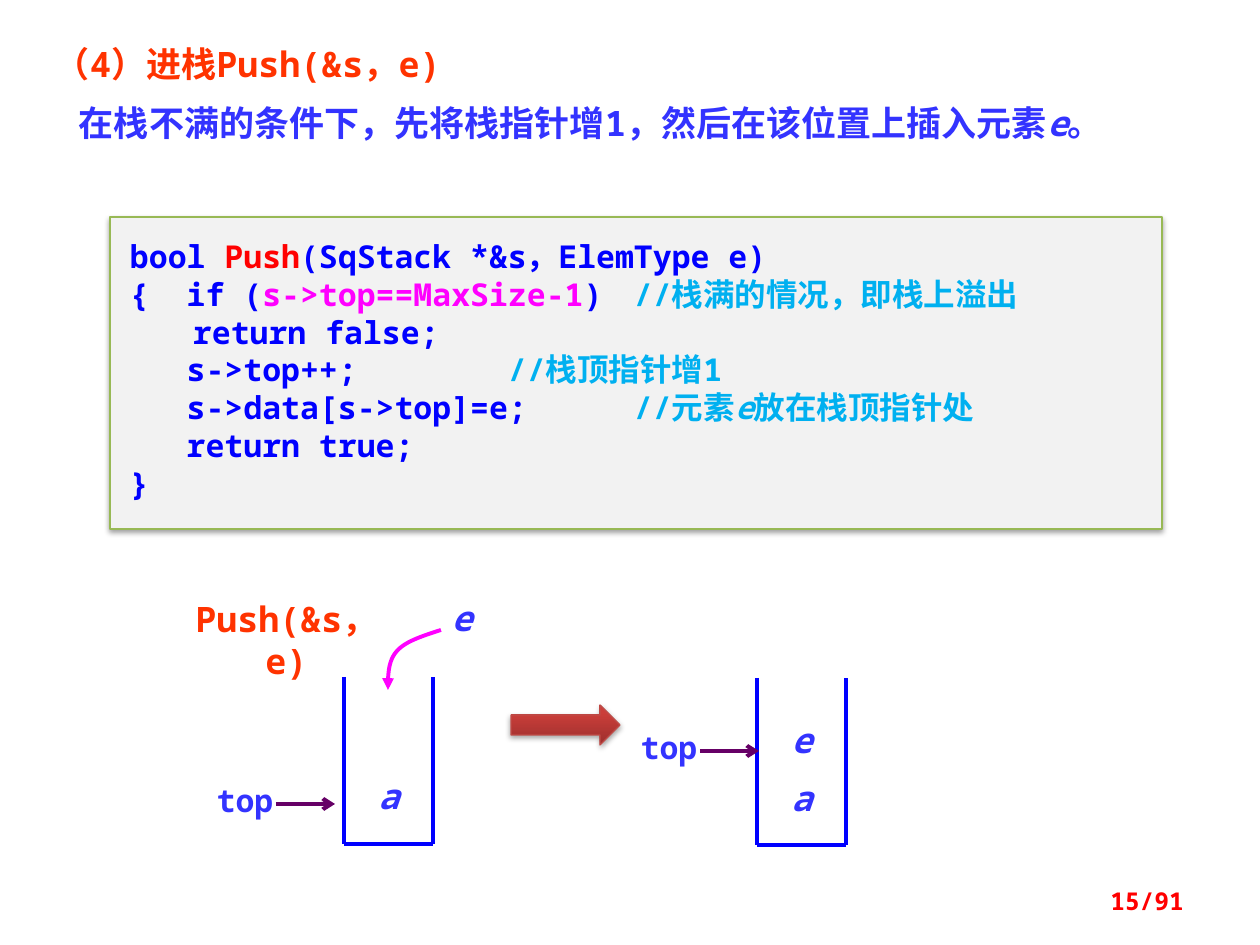
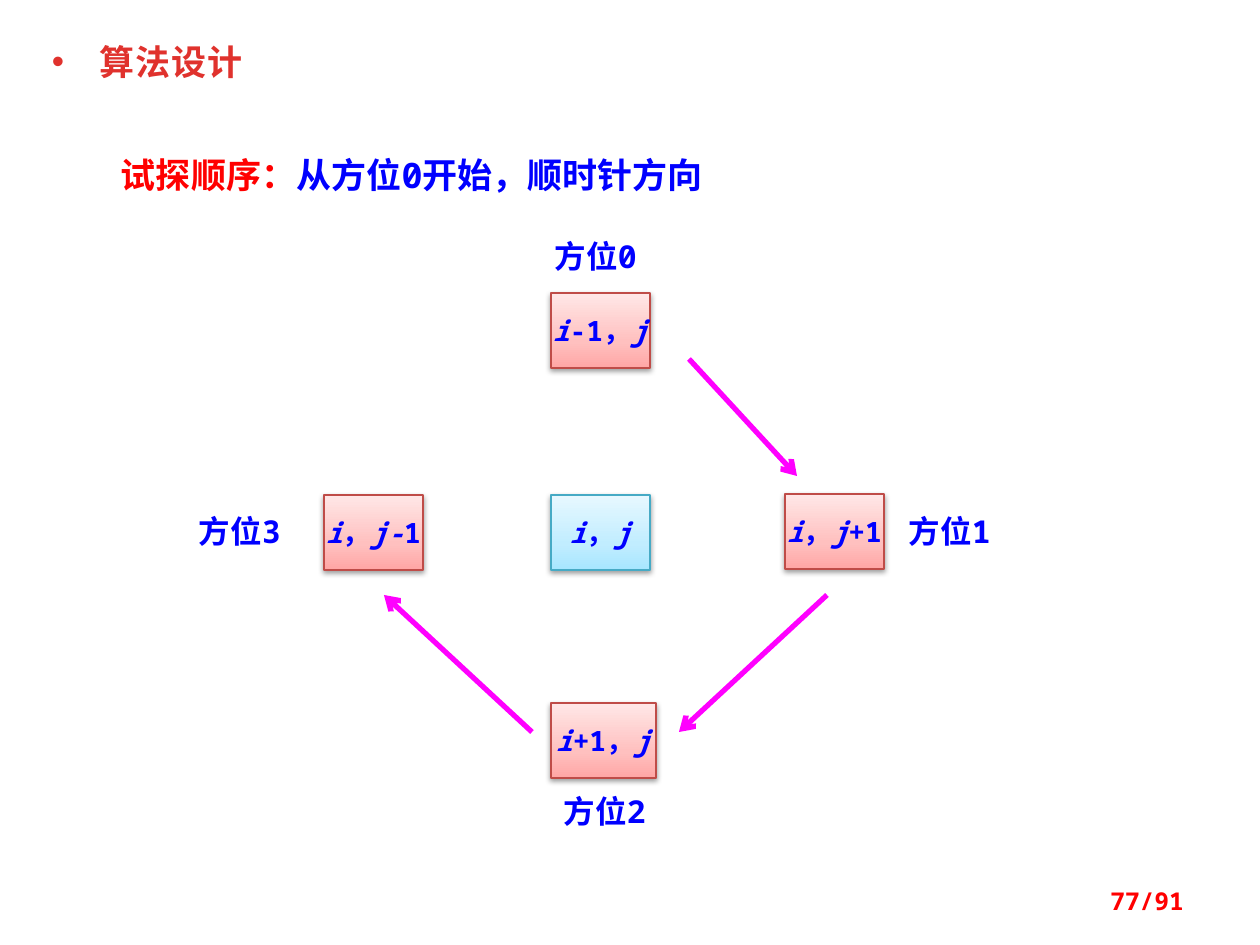
from dataclasses import dataclass

from lxml.etree import SubElement
from pptx import Presentation
from pptx.dml.color import RGBColor
from pptx.enum.shapes import MSO_CONNECTOR, MSO_SHAPE
from pptx.enum.text import MSO_ANCHOR, PP_ALIGN
from pptx.oxml.ns import qn
from pptx.util import Emu, Pt

EMU_PER_PX = 914400 / 126


@dataclass(frozen=True)
class Theme:
    font: str = "Noto Sans Mono"
    heading_size: int = 20
    body_size: int = 18
    cell_size: int = 16
    page_size: int = 14
    orange: str = "FF3300"
    crimson: str = "E0322D"
    red: str = "FF0000"
    indigo: str = "3333FF"
    blue: str = "0000FF"
    sky: str = "00B0F0"
    magenta: str = "FF00FF"
    purple: str = "660066"
    code_fill: str = "F2F2F2"
    code_edge: str = "98B955"
    red_edge: str = "BF4C48"
    cyan_edge: str = "46AAC5"
    red_cell: tuple = ((0, "FFA6A5"), (35, "FFC0BF"), (100, "FFE7E7"))
    cyan_cell: tuple = ((0, "A7E6FF"), (35, "C1EDFF"), (100, "E7F8FF"))
    arrow_fill: tuple = ((0, "9C2F2D"), (80, "CB3E3A"), (100, "CE3B37"))


THEME = Theme()
INSETS = (13, 6, 13, 6)


def px(value):
    return Emu(round(value * EMU_PER_PX))


def rgb(color):
    return RGBColor.from_string(color)


def italic(text, color=None):
    return text, color, True


def write(paragraph, runs, size, color, align=None):
    """Fill a paragraph with runs, each a string or (text, color[, italic])."""
    font = paragraph.font
    font.name, font.size, font.bold = THEME.font, Pt(size), True
    font.color.rgb = rgb(color)
    paragraph.alignment = align
    for part in runs:
        text, run_color, slanted = ((part,) if isinstance(part, str) else part + (None,) * 2)[:3] \
            if not isinstance(part, str) else (part, None, None)
        run = paragraph.add_run()
        run.text = text
        if run_color:
            run.font.color.rgb = rgb(run_color)
        if slanted:
            run.font.italic = True


def set_frame(frame, insets=INSETS, anchor=MSO_ANCHOR.TOP, wrap=True):
    frame.word_wrap = wrap
    frame.vertical_anchor = anchor
    (frame.margin_left, frame.margin_top,
     frame.margin_right, frame.margin_bottom) = map(px, insets)
    return frame


def add_frame(slide, box, **options):
    return set_frame(slide.shapes.add_textbox(*map(px, box)).text_frame, **options)


def add_label(slide, box, runs, size, color, align=None, **options):
    paragraph = add_frame(slide, box, **options).paragraphs[0]
    write(paragraph, runs, size, color, align)
    return paragraph


def add_page_number(slide, number):
    add_label(slide, (903, 876, 294, 50), [f"{number}/91"], THEME.page_size, THEME.red,
              PP_ALIGN.RIGHT, anchor=MSO_ANCHOR.MIDDLE)


def add_panel(slide, preset, box, fill, edge, shadow_alpha=38):
    """Add a shadowed shape; fill is one color or (percent, color) stops, bottom to top."""
    panel = slide.shapes.add_shape(preset, *map(px, box))
    properties = panel._element.spPr
    if isinstance(fill, str):
        panel.fill.solid()
        panel.fill.fore_color.rgb = rgb(fill)
    else:
        panel.fill.gradient()
        panel.fill.gradient_angle = 90
        stops = properties.find(".//" + qn("a:gsLst"))
        stops.clear()
        for percent, color in fill:
            stop = SubElement(stops, qn("a:gs"), pos=str(percent * 1000))
            SubElement(stop, qn("a:srgbClr"), val=color)
    panel.line.color.rgb = rgb(edge)
    panel.line.width = Pt(0.75)
    panel.shadow.inherit = False
    shadow = SubElement(properties.find(qn("a:effectLst")), qn("a:outerShdw"),
                        blurRad="40000", dist="20000", dir="5400000", rotWithShape="0")
    shade = SubElement(shadow, qn("a:srgbClr"), val="000000")
    SubElement(shade, qn("a:alpha"), val=str(shadow_alpha * 1000))
    return panel


def style_line(stroke, color, width, head=None):
    stroke.line.color.rgb = rgb(color)
    stroke.line.width = Pt(width)
    if head:
        SubElement(stroke._element.spPr.find(qn("a:ln")), qn("a:tailEnd"), type=head)


def add_line(slide, start, end, color, width=2.25, head=None):
    line = slide.shapes.add_connector(MSO_CONNECTOR.STRAIGHT, *map(px, start + end))
    style_line(line, color, width, head)
    SubElement(line._element.spPr, qn("a:effectLst"))


def bezier_point(controls, t):
    weights = ((1 - t) ** 3, 3 * t * (1 - t) ** 2, 3 * t * t * (1 - t), t ** 3)
    return tuple(px(sum(w * c for w, c in zip(weights, axis))) for axis in zip(*controls))


def add_curved_arrow(slide, *curves, steps=12):
    points = [bezier_point(curve, step / steps)
              for curve in curves for step in range(1, steps + 1)]
    builder = slide.shapes.build_freeform(*map(px, curves[0][0]))
    builder.add_line_segments(points, close=False)
    arrow = builder.convert_to_shape()
    arrow.fill.background()
    arrow.shadow.inherit = False
    style_line(arrow, THEME.magenta, 2.25, "triangle")


def add_stack(slide, left, top, width=89, height=167):
    """Draw the open-topped container of a stack."""
    right, bottom = left + width, top + height
    corners = [(left, top), (left, bottom), (right, bottom), (right, top)]
    for start, end in zip(corners, corners[1:]):
        add_line(slide, start, end, THEME.blue)


def add_element(slide, left, top, letter):
    add_label(slide, (left, top, 79, 43), [italic(letter)], THEME.heading_size,
              THEME.indigo, PP_ALIGN.CENTER, insets=(0, 0, 0, 0))


def add_top_pointer(slide, left, top):
    add_label(slide, (left, top, 118, 38), ["top"], THEME.body_size,
              THEME.indigo, PP_ALIGN.CENTER, insets=(0, 0, 0, 0))
    add_line(slide, (left + 90, top + 23), (left + 149, top + 23), THEME.purple, head="arrow")


def add_code(slide, box, lines):
    panel = add_panel(slide, MSO_SHAPE.RECTANGLE, box, THEME.code_fill, THEME.code_edge)
    frame = set_frame(panel.text_frame, insets=(20, 20, 13, 25))
    for index, runs in enumerate(lines):
        paragraph = frame.add_paragraph() if index else frame.paragraphs[0]
        write(paragraph, runs, THEME.body_size, THEME.blue, PP_ALIGN.LEFT)


def add_cell(slide, box, runs, fill, edge):
    cell = add_panel(slide, MSO_SHAPE.RECTANGLE, box, fill, edge)
    frame = set_frame(cell.text_frame, anchor=MSO_ANCHOR.MIDDLE, wrap=False)
    write(frame.paragraphs[0], runs, THEME.cell_size, THEME.blue, PP_ALIGN.CENTER)


def build_push_slide(slide):
    intro = add_frame(slide, (42, 29, 1187, 122))
    heading, summary = intro.paragraphs[0], intro.add_paragraph()
    properties = summary._p.get_or_add_pPr()
    properties.set("marL", "0")
    properties.set("indent", str(px(24)))
    write(heading, ["（4）进栈Push(&s，e)"], THEME.heading_size, THEME.orange, PP_ALIGN.JUSTIFY)
    write(summary, ["在栈不满的条件下，先将栈指针增1，然后在该位置上插入元素", italic("e"), "。"],
          THEME.heading_size, THEME.indigo, PP_ALIGN.JUSTIFY)
    heading.line_spacing = summary.line_spacing = Pt(28)
    summary.space_before = Pt(6)

    sky = THEME.sky
    add_code(slide, (110, 217, 1052, 312), [
        ["bool ", ("Push", THEME.red), "(SqStack *&s，ElemType e)"],
        ["{  if (", ("s->top==MaxSize-1", THEME.magenta), ")\t", ("//栈满的情况，即栈上溢出", sky)],
        ["\treturn false;"],
        ["   s->top++;\t\t\t", ("//栈顶指针增1", sky)],
        ["   s->data[s->top]=e;\t\t", ("//元素", sky), italic("e", sky), ("放在栈顶指针处", sky)],
        ["   return true;"],
        ["}"],
    ])

    add_stack(slide, 344, 677)
    add_element(slide, 349, 774, "a")
    add_element(slide, 422, 596, "e")
    add_curved_arrow(slide, ((441, 630), (423, 636), (406, 641), (397, 651)),
                     ((397, 651), (388, 661), (388, 675), (388, 690)))
    add_top_pointer(slide, 186, 781)
    add_label(slide, (168, 591, 237, 55), ["Push(&s，e)"], THEME.heading_size,
              THEME.orange, PP_ALIGN.CENTER)

    add_panel(slide, MSO_SHAPE.RIGHT_ARROW, (511, 705, 109, 40), THEME.arrow_fill,
              THEME.red_edge, shadow_alpha=35)

    add_stack(slide, 757, 678)
    add_element(slide, 762, 718, "e")
    add_element(slide, 762, 776, "a")
    add_top_pointer(slide, 610, 728)
    add_page_number(slide, 15)


def build_direction_slide(slide):
    heading = add_frame(slide, (39, 39, 353, 50)).paragraphs[0]
    properties = heading._p.get_or_add_pPr()
    properties.set("marL", str(px(48)))
    properties.set("indent", str(-px(48)))
    heading.line_spacing = 0.9
    SubElement(properties, qn("a:buFont"), typeface="Arial")
    SubElement(properties, qn("a:buChar"), char="•")
    write(heading, ["算法设计"], THEME.heading_size, THEME.crimson, PP_ALIGN.JUSTIFY)
    heading.runs[0].font._element.set("spc", "50")

    add_label(slide, (108, 147, 630, 55), [("试探顺序：", THEME.red), "从方位0开始，顺时针方向"],
              THEME.heading_size, THEME.blue)

    i, j = italic("i"), italic("j")
    add_cell(slide, (551, 495, 99, 75), [i, "，", j], THEME.cyan_cell, THEME.cyan_edge)
    neighbours = [
        ((551, 293, 99, 75), [i, "-1，", j], (542, 231)),
        ((785, 494, 99, 75), [i, "，", j, "+1"], (896, 506)),
        ((551, 703, 105, 75), [i, "+1，", j], (551, 786)),
        ((324, 495, 99, 75), [i, "，", italic("j-"), "1"], (186, 506)),
    ]
    for number, (box, index, label_at) in enumerate(neighbours):
        add_cell(slide, box, index, THEME.red_cell, THEME.red_edge)
        add_label(slide, label_at + (128, 50), [f"方位{number}"], THEME.body_size, THEME.blue)

    for start, end in [((689, 359), (797, 476)), ((827, 595), (679, 732)),
                       ((532, 732), (384, 595))]:
        add_line(slide, start, end, THEME.magenta, 3, "arrow")
    add_page_number(slide, 77)


def main():
    deck = Presentation()
    deck.slide_width, deck.slide_height = px(1260), px(945)
    blank = deck.slide_layouts[6]
    for build in (build_push_slide, build_direction_slide):
        build(deck.slides.add_slide(blank))
    deck.save("out.pptx")


if __name__ == "__main__":
    main()
